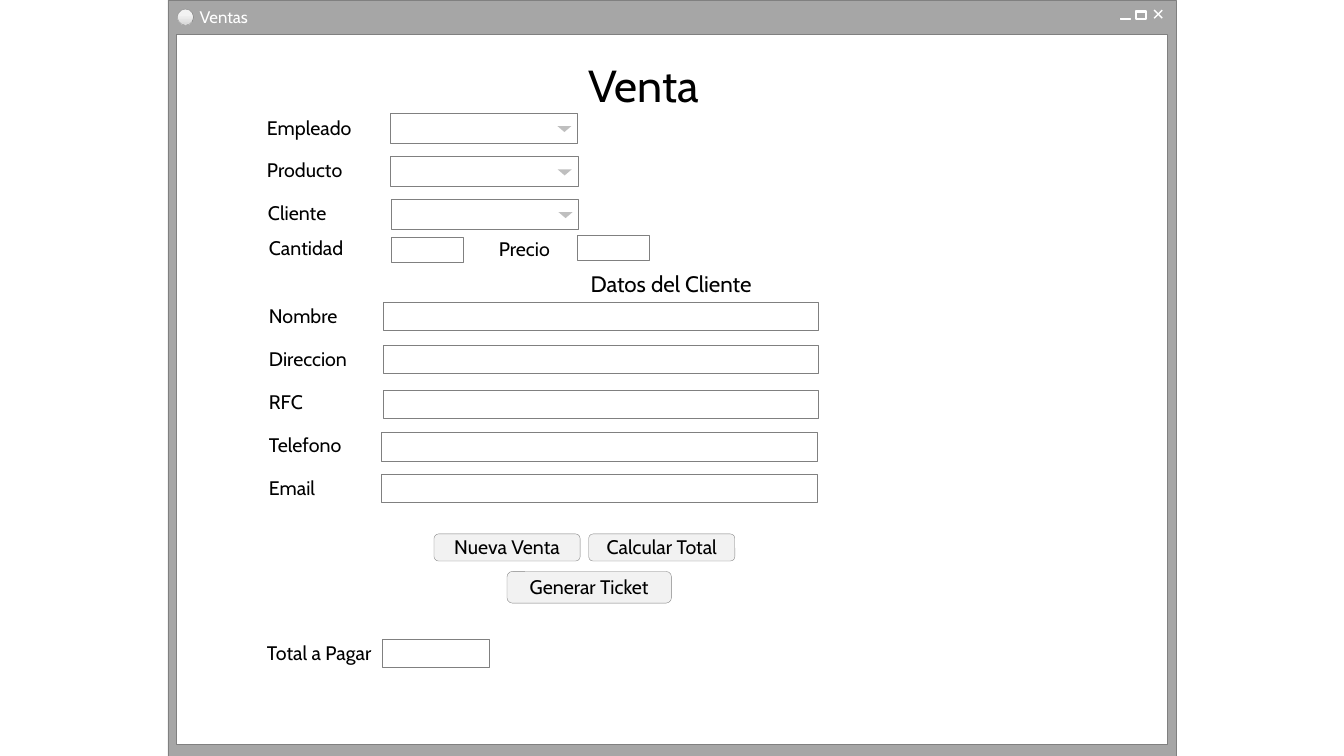
from copy import deepcopy
from pptx import Presentation
from pptx.dml.color import RGBColor
from pptx.enum import shapes as kinds, text as txt
from pptx.oxml import xmlchemy as xml
from pptx.util import Pt

WHITE = RGBColor(255, 255, 255)
BLACK = RGBColor(0, 0, 0)
FRAME = RGBColor(0xA6, 0xA6, 0xA6)
EDGE = RGBColor(0x80, 0x80, 0x80)
ARROW = RGBColor(0xBF, 0xBF, 0xBF)
BAR = RGBColor(0x91, 0x91, 0x91)
LIGHT = RGBColor(0xF2, 0xF2, 0xF2)
SHADE = RGBColor(0xD9, 0xD9, 0xD9)
KIND = kinds.MSO_SHAPE

deck = Presentation()
deck.slide_width, deck.slide_height = Pt(960), Pt(540)
slide = deck.slides.add_slide(deck.slide_layouts[5])
items = slide.shapes


def draw(kind, x, y, w, h, fill=WHITE, edge=EDGE, width=0.25):
    shape = items.add_shape(kind, Pt(x), Pt(y), Pt(w), Pt(h))
    shape.shadow.inherit = False
    if fill is None:
        shape.fill.background()
    else:
        shape.fill.solid()
        shape.fill.fore_color.rgb = fill
    if edge is None:
        shape.line.fill.background()
    else:
        shape.line.color.rgb = edge
        shape.line.width = Pt(width)
    return shape


def write(shape, words, size=14, color=BLACK, align=txt.PP_ALIGN.LEFT, pads=(7.2, 1.4, 7.2, 2.2)):
    frame = shape.text_frame
    frame.text = words
    frame.word_wrap = True
    frame.auto_size = txt.MSO_AUTO_SIZE.NONE
    frame.vertical_anchor = txt.MSO_ANCHOR.MIDDLE
    frame.margin_left, frame.margin_top, frame.margin_right, frame.margin_bottom = map(Pt, pads)
    para = frame.paragraphs[0]
    para.alignment = align
    para.font.name, para.font.size = "Cabin", Pt(size)
    para.font.color.rgb = color


draw(KIND.RECTANGLE, 120, 0, 720, 540, FRAME)
draw(KIND.RECTANGLE, 126, 24.5, 708, 507)
name = items.add_textbox(Pt(139), Pt(3.6), Pt(46), Pt(18))
write(name, "Ventas", 12, WHITE, pads=(3.6, 1.4, 7.2, 2.2))
name.text_frame.word_wrap = False
name.text_frame.auto_size = txt.MSO_AUTO_SIZE.SHAPE_TO_FIT_TEXT

for top, end in ((7.2, 13), (13, 7.2)):
    cross = items.add_connector(kinds.MSO_CONNECTOR.STRAIGHT, Pt(824.4), Pt(top), Pt(830.2), Pt(end))
    cross.line.color.rgb = WHITE
    cross.line.width = Pt(1)
    props = cross.element.spPr
    props.append(xml.OxmlElement("a:effectLst"))
for x, y in ((811.4, 7.9), (799.9, 13)):
    draw(KIND.RECTANGLE, x, y, 7.2, 0.7, BAR, WHITE)
draw(KIND.RECTANGLE, 811.4, 7.9, 7.2, 5.8, None, WHITE, 1)

ball = draw(KIND.OVAL, 126.7, 6.5, 11.5, 11.5)
ball.fill.gradient()
ball.fill.gradient_angle = 270
for stop, spot, color in zip(ball.fill.gradient_stops, (0.36, 0.91), (LIGHT, SHADE)):
    stop.position = spot
    stop.color.rgb = color
first, last = ball.element.xpath(".//a:gs")
extra = deepcopy(first)
extra.set("pos", "100000")
last.addnext(extra)

title = items.title
title.left, title.top, title.width, title.height = Pt(413.3), Pt(39.6), Pt(170), Pt(42.5)
write(title, "Venta", 32)
items.element.append(title.element)

labels = [
    ("Empleado", 183.6, 81.4), ("Producto", 183.6, 110.9), ("Cliente", 184.3, 141.8),
    ("Cantidad", 185, 167), ("Precio", 349.2, 167.8), ("Total a Pagar", 183.6, 455.8),
]
fields = ("Nombre", "Direccion", "RFC", "Telefono", "Email")
labels += [(word, 185, 215.3 + 30.8 * row) for row, word in enumerate(fields)]
for word, x, y in labels:
    write(items.add_textbox(Pt(x), Pt(y), Pt(170), Pt(20.9)), word)
write(items.add_textbox(Pt(414.7), Pt(191.5), Pt(170), Pt(23)), "Datos del Cliente", 16)

for x, y in ((278.6, 80.6), (278.8, 111.6), (279.4, 142.1)):
    draw(KIND.RECTANGLE, x, y, 133.9, 21.6)
    mark = draw(KIND.ISOSCELES_TRIANGLE, x + 119.5, y + 9.4, 10.1, 4.3, ARROW, None)
    mark.rotation = 180

boxes = [(279.4, 169.6, 51.1, 18), (412.6, 167.8, 51.1, 18), (272.9, 456.2, 76.3, 20.2)]
boxes += [(273.6, y, 311, 20.2) for y in (215.6, 246.5, 278.6)]
boxes += [(272.6, y, 311, 20.2) for y in (308.9, 338.4)]
for box in boxes:
    draw(KIND.RECTANGLE, *box)

for word, x, y, w, h in (
    ("Nueva Venta", 310, 381.4, 104.4, 19.4),
    ("Calcular Total", 420.5, 381.4, 104.4, 19.4),
    ("Generar Ticket", 362.2, 408.2, 117.4, 22.6),
):
    key = draw(KIND.ROUNDED_RECTANGLE, x, y, w, h, LIGHT)
    write(key, word, align=txt.PP_ALIGN.CENTER, pads=(7.2, 0, 7.2, 0.7))

deck.save("out.pptx")
